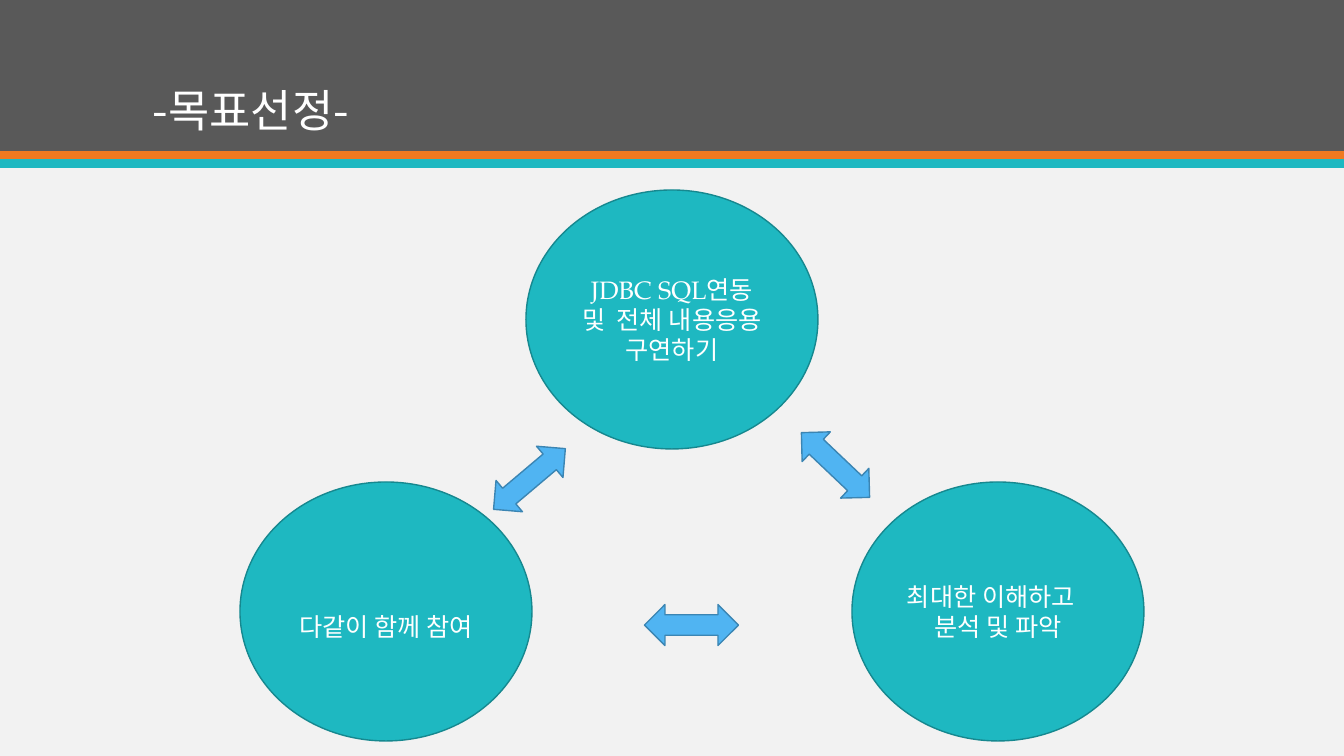
from pptx import Presentation
from pptx.dml.color import RGBColor as Rgb
from pptx.enum.shapes import MSO_SHAPE as Kind
from pptx.enum.text import MSO_ANCHOR as Anchor, PP_ALIGN as Align
from pptx.oxml.ns import qn
from pptx.util import Pt
from lxml.etree import SubElement as Sub

PX = 914400 / 100.8
HUE = {
    "back": "F2F2F2", "head": "595959", "orange": "EF7920", "teal": "1EB8C1",
    "rim": "16888F", "blue": "50B4F2", "edge": "3B85B3", "white": "FFFFFF",
}
SANS, SERIF = "Noto Sans CJK KR", "TeX Gyre Pagella"


def px(n):
    return round(n * PX)


def hue(name):
    return Rgb.from_string(HUE[name])


class Page:
    """Draws styled elements on one slide, measured in px."""

    def __init__(self, deck):
        self.slide = deck.slides.add_slide(deck.slide_layouts[6])
        fill = self.slide.background.fill
        fill.solid()
        fill.fore_color.rgb = hue("back")

    def shape(self, kind, box, fill, line=None, turn=0):
        item = self.slide.shapes.add_shape(kind, *map(px, box))
        item.shadow.inherit = False
        item.fill.solid()
        item.fill.fore_color.rgb = hue(fill)
        if line:
            item.line.color.rgb = hue(line)
            item.line.width = Pt(1)
        else:
            item.line.fill.background()
        item.rotation = turn
        return item

    def label(self, frame, paras, size, font, align, anchor, pads=(10, 5, 10, 5)):
        frame.word_wrap = True
        frame.vertical_anchor = anchor
        (frame.margin_left, frame.margin_top,
         frame.margin_right, frame.margin_bottom) = map(px, pads)
        for i, (text, dent) in enumerate(paras):
            para = frame.add_paragraph() if i else frame.paragraphs[0]
            para.alignment = align
            if dent:
                para._p.get_or_add_pPr().set("marL", str(px(dent)))
            run = para.add_run()
            run.text = text
            run.font.size = Pt(size)
            run.font.name = font
            run.font.color.rgb = hue("white")
            Sub(run._r.get_or_add_rPr(), qn("a:ea")).set("typeface", SANS)

    def title(self, text, box):
        frame = self.slide.shapes.add_textbox(*map(px, box)).text_frame
        self.label(frame, [(text, 0)], 32, SANS, Align.LEFT, Anchor.BOTTOM)
        frame.paragraphs[0].line_spacing = 0.9

    def goal(self, x, y, paras, pads):
        item = self.shape(Kind.OVAL, (x, y, 292, 259), "teal", "rim")
        self.label(item.text_frame, paras, 18, SERIF, Align.CENTER,
                   Anchor.MIDDLE, pads)

    def arrow(self, x, y, turn):
        self.shape(Kind.UP_DOWN_ARROW, (x, y, 41, 94), "blue", "edge", turn)


def main():
    deck = Presentation()
    deck.slide_width, deck.slide_height = px(1344), px(756)
    page = Page(deck)
    for y, high, fill in ((0, 151, "head"), (151, 9, "orange"), (159, 9, "teal")):
        page.shape(Kind.RECTANGLE, (0, y, 1344, high), fill)
    page.title("-목표선정-", (143, 28, 1058, 114))

    goals = (
        (526, 190, [("JDBC SQL연동 및  전체 내용응용 구연하기", 0)], (10, 5, 10, 5)),
        (240, 482, [("다같이 함께 참여", 0)], (10, 35, 10, 5)),
        (852, 482, [("최대한 이해하고", 0), ("분석 및 파악", 14)], (0, 5, 14, 5)),
    )
    for goal in goals:
        page.goal(*goal)
    for spot in ((815, 418, 313.5), (671, 578, 270), (509, 432, 49.8)):
        page.arrow(*spot)
    deck.save("out.pptx")


if __name__ == "__main__":
    main()
